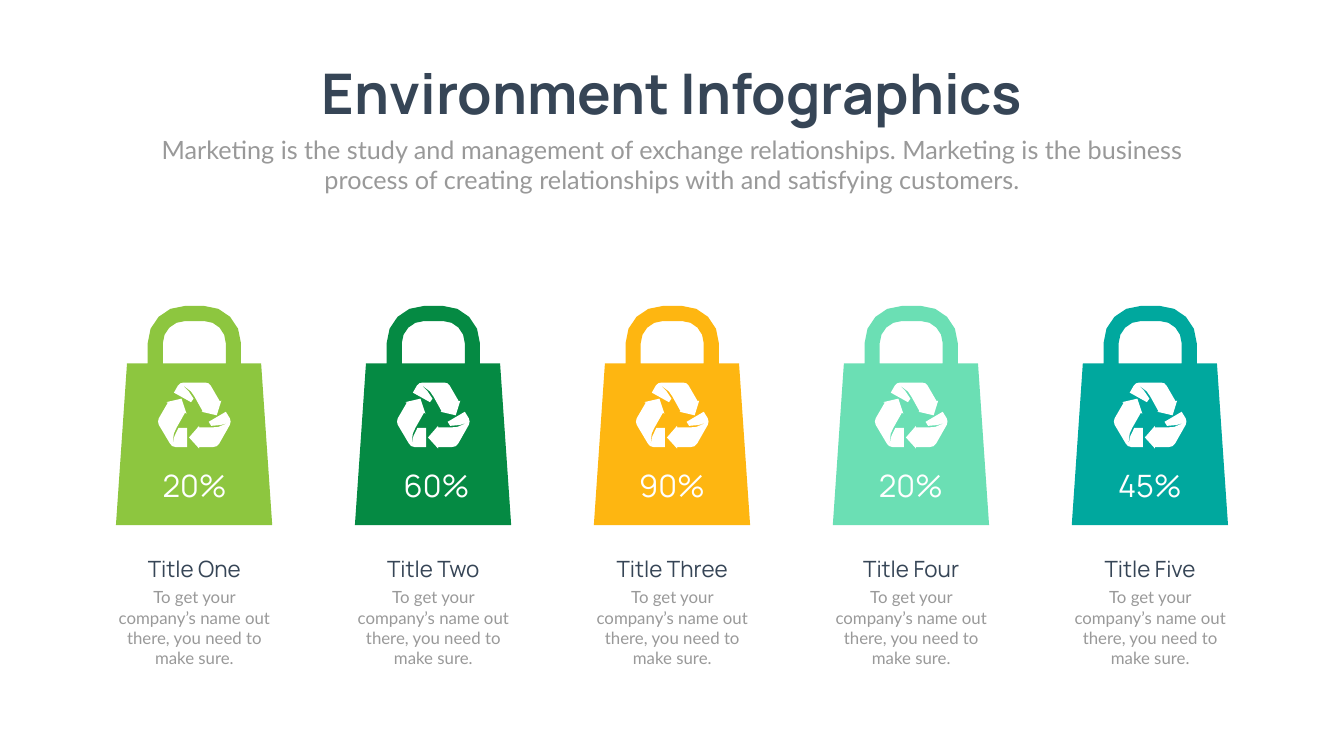
"""Build a slide of five recycling bags, each with a percentage, a title and a caption."""
import pptx
import pptx.dml.color
import pptx.enum.text
import pptx.util

Inches = pptx.util.Inches
RGBColor = pptx.dml.color.RGBColor

NAVY = RGBColor(0x36, 0x45, 0x56)
GREY = RGBColor(0x99, 0x99, 0x99)
WHITE = RGBColor(0xFF, 0xFF, 0xFF)
LIME = RGBColor(0x8D, 0xC6, 0x3F)
GREEN = RGBColor(0x05, 0x8A, 0x43)
AMBER = RGBColor(0xFE, 0xB6, 0x11)
MINT = RGBColor(0x6B, 0xDF, 0xB4)
TEAL = RGBColor(0x00, 0xA8, 0x9E)

HEADING = "Environment Infographics"
SUBHEADING = (
    "Marketing is the study and management of exchange relationships. "
    "Marketing is the business process of creating relationships with "
    "and satisfying customers."
)
CAPTION = "To get your company’s name out there, you need to make sure."
BAGS = [
    ("Title One", "20%", LIME, 0.65),
    ("Title Two", "60%", GREEN, 0.71),
    ("Title Three", "90%", AMBER, 0.64),
    ("Title Four", "20%", MINT, 0.64),
    ("Title Five", "45%", TEAL, 0.64),
]

BAG_LEFT, BAG_TOP, BAG_PITCH = 2.3, 6.07, 4.74
HANDLE_STEPS, ARROW_STEPS = 4, 2

BAG_BODY = [
    (2.88, 1.14), (2.48, 1.14), (2.48, 0.74),
    (2.48, 0.33, 2.15, 0, 1.75, 0), (1.37, 0),
    (0.96, 0, 0.63, 0.33, 0.63, 0.74), (0.63, 1.14),
    (0.22, 1.14), (0, 4.35), (3.1, 4.35),
]
HANDLE_HOLE = [
    (0.93, 0.74), (0.93, 0.5, 1.13, 0.3, 1.37, 0.3), (1.75, 0.3),
    (1.99, 0.3, 2.18, 0.5, 2.18, 0.74), (2.18, 1.14), (0.93, 1.14),
]
RECYCLING_ARROWS = [
    [
        (2.26, 2.23), (2.18, 2.1), (1.84, 2.3), (1.89, 2.38),
        (2.02, 2.38, 2.14, 2.36, 2.25, 2.31),
        (2.12, 2.42, 1.91, 2.41, 1.91, 2.41),
        (1.65, 2.41), (1.65, 2.38), (1.45, 2.61), (1.65, 2.83),
        (1.65, 2.8), (1.93, 2.8), (1.98, 2.8, 2.02, 2.78, 2.05, 2.73),
        (2.26, 2.36), (2.28, 2.32, 2.28, 2.27, 2.26, 2.23),
    ],
    [
        (1.54, 1.84), (1.48, 1.73, 1.4, 1.63, 1.3, 1.55),
        (1.46, 1.61, 1.56, 1.8, 1.56, 1.8),
        (1.72, 2.09), (1.7, 2.1), (2, 2.17), (2.09, 1.88), (2.06, 1.89),
        (1.88, 1.58), (1.86, 1.54, 1.82, 1.52, 1.77, 1.52), (1.34, 1.52),
        (1.3, 1.52, 1.25, 1.54, 1.23, 1.58), (1.15, 1.72), (1.49, 1.91),
    ],
    [
        (1.24, 2.42), (1.18, 2.52, 1.13, 2.64, 1.12, 2.77),
        (1.09, 2.6, 1.2, 2.42, 1.2, 2.42),
        (1.37, 2.12), (1.4, 2.14), (1.3, 1.84), (1, 1.91), (1.03, 1.92),
        (0.85, 2.23), (0.83, 2.27, 0.83, 2.32, 0.85, 2.36), (1.07, 2.73),
        (1.09, 2.77, 1.13, 2.8, 1.18, 2.8), (1.41, 2.8), (1.41, 2.42),
    ],
]


def flatten(outline, steps):
    """Turn lines (x, y) and cubic curves (two controls, end) into points."""
    points = []
    for part in outline:
        if len(part) == 2:
            points.append(part)
            continue
        start, c1, c2, end = points[-1], part[:2], part[2:4], part[4:]
        for i in range(1, steps + 1):
            t = i / steps
            u = 1 - t
            points.append(tuple(
                u**3 * a + 3 * u * u * t * b + 3 * u * t * t * c + t**3 * d
                for a, b, c, d in zip(start, c1, c2, end)
            ))
    return [(Inches(x), Inches(y)) for x, y in points]


def add_outline(slide, left, outlines, steps, color):
    """Draw closed outlines as one freeform, placed from the bag's corner."""
    first, *rest = [flatten(o, steps) for o in outlines]
    builder = slide.shapes.build_freeform(*first[0])
    builder.add_line_segments(first[1:], close=True)
    for points in rest:
        builder.move_to(*points[0])
        builder.add_line_segments(points[1:], close=True)
    sp = builder.convert_to_shape(Inches(left), Inches(BAG_TOP))
    sp.shadow.inherit = False
    sp.fill.solid()
    sp.fill.fore_color.rgb = color
    sp.line.fill.background()


def write(sp, box, text, font, size, color, bold=False, wrap=True):
    """Place a text shape and fill it with one centred run."""
    sp.left, sp.top, sp.width, sp.height = [Inches(v) for v in box]
    tf = sp.text_frame
    tf.word_wrap = wrap
    tf.auto_size = pptx.enum.text.MSO_AUTO_SIZE.SHAPE_TO_FIT_TEXT
    tf.vertical_anchor = pptx.enum.text.MSO_ANCHOR.TOP
    p = tf.paragraphs[0]
    p.alignment = pptx.enum.text.PP_ALIGN.CENTER
    p.space_before = pptx.util.Pt(0)
    r = p.add_run()
    r.text = text
    r.font.name = font
    r.font.size = pptx.util.Pt(size)
    r.font.bold = bold
    r.font.color.rgb = color


def add_text(slide, box, *style):
    """Add a text box and write in it."""
    write(slide.shapes.add_textbox(0, 0, 0, 0), box, *style)


def main():
    """Build and save the slide."""
    prs = pptx.Presentation()
    prs.slide_width, prs.slide_height = Inches(26.66), Inches(15)
    s = prs.slides.add_slide(prs.slide_layouts[0])
    write(s.shapes.title, (5.7, 1.12, 15.27, 1.45), HEADING,
          "Manrope", 80, NAVY, bold=True, wrap=False)
    write(s.placeholders[1], (2.92, 2.61, 20.82, 1.31), SUBHEADING,
          "Lato", 36, GREY)

    for i, (title, percent, color, percent_dx) in enumerate(BAGS):
        left = BAG_LEFT + i * BAG_PITCH
        add_outline(s, left, [BAG_BODY, HANDLE_HOLE], HANDLE_STEPS, color)
        for arrow in RECYCLING_ARROWS:
            add_outline(s, left, [arrow], ARROW_STEPS, WHITE)
        add_text(s, (left - 0.23, 10.96, 3.57, 0.64), title, "Manrope", 32, NAVY)
        add_text(s, (left - 0.08, 11.6, 3.27, 1.72), CAPTION, "Lato", 24, GREY)
        add_text(s, (left + percent_dx, 9.22, 1.82, 0.84), percent,
                 "Manrope", 44, WHITE)

    prs.save("out.pptx")


if __name__ == "__main__":
    main()
